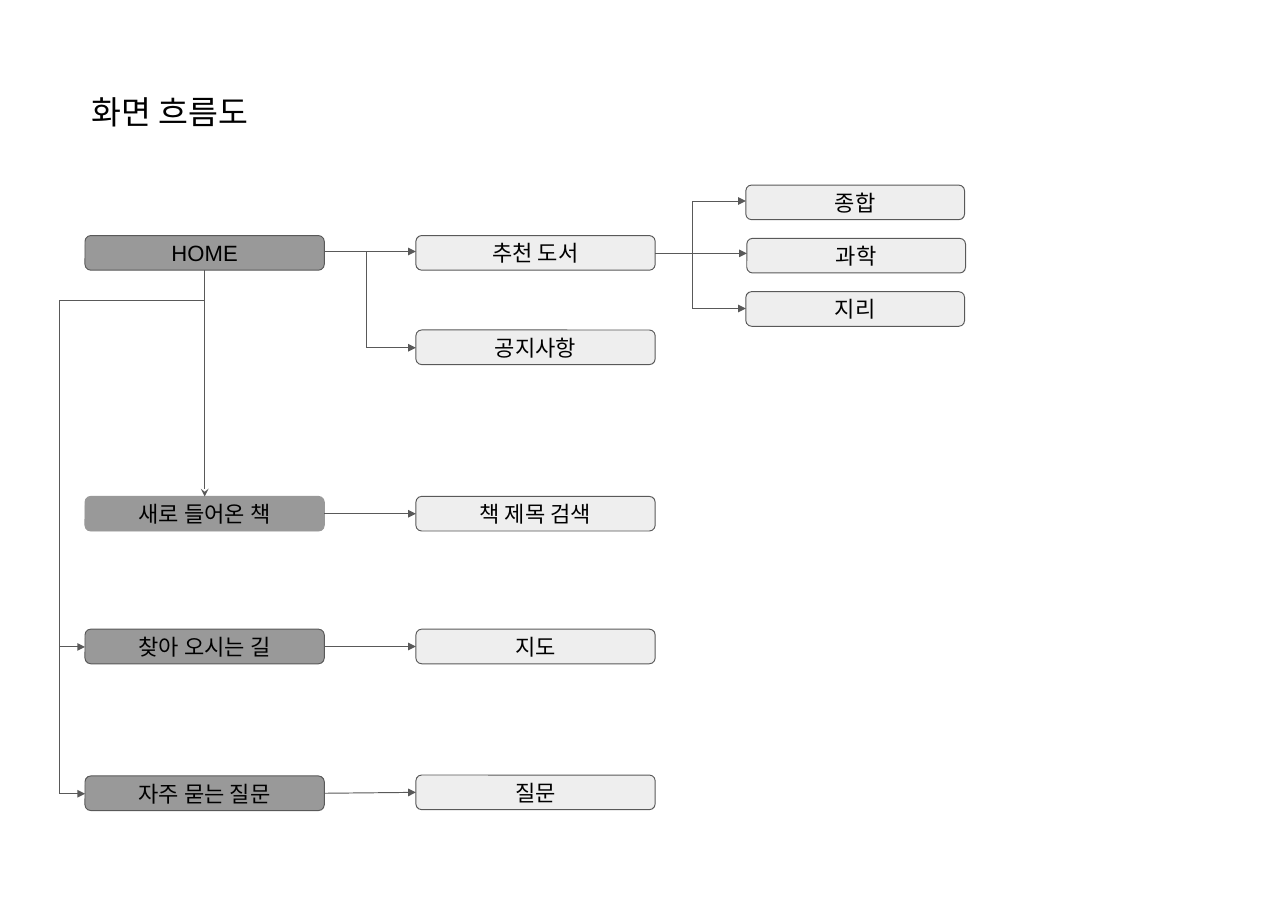
from dataclasses import dataclass

from lxml import etree
from pptx import Presentation
from pptx.dml.color import RGBColor
from pptx.enum.shapes import MSO_CONNECTOR, MSO_SHAPE
from pptx.enum.text import MSO_ANCHOR, MSO_AUTO_SIZE, PP_ALIGN
from pptx.oxml.ns import qn
from pptx.util import Inches, Pt

STRAIGHT = MSO_CONNECTOR.STRAIGHT
ROUNDED = MSO_SHAPE.ROUNDED_RECTANGLE
TOP, MIDDLE = MSO_ANCHOR.TOP, MSO_ANCHOR.MIDDLE
LEFT, CENTER = PP_ALIGN.LEFT, PP_ALIGN.CENTER
NO_AUTOFIT = MSO_AUTO_SIZE.NONE
TITLE_ONLY = 5

# Connection sites of a rounded rectangle
SITE_TOP, SITE_LEFT, SITE_BOTTOM, SITE_RIGHT = range(4)


@dataclass(frozen=True)
class Theme:
    font: str = "Arial"
    title_size: float = 25
    box_size: float = 17
    line_width: float = 0.75
    inset: float = 0.33
    text: str = "000000"
    line: str = "595959"
    menu_fill: str = "999999"
    page_fill: str = "EEEEEE"


THEME = Theme()

# Columns and box sizes of the flow
MENU_X, PAGE_X, TOPIC_X = 0.91, 4.45, 7.98
BOX_WIDTH, TOPIC_WIDTH, BOX_HEIGHT = 2.56, 2.34, 0.37


def write_text(shape, text, size, align=CENTER, anchor=MIDDLE):
    frame = shape.text_frame
    frame.word_wrap = True
    frame.auto_size = NO_AUTOFIT
    frame.vertical_anchor = anchor
    inset = Inches(THEME.inset)
    frame.margin_left = frame.margin_right = inset
    frame.margin_top = frame.margin_bottom = inset
    paragraph = frame.paragraphs[0]
    paragraph.alignment = align
    run = paragraph.add_run()
    run.text = text
    run.font.name = THEME.font
    run.font.size = Pt(size)
    run.font.color.rgb = RGBColor.from_string(THEME.text)


def add_title(slide, text):
    title = slide.shapes.title
    title.left, title.top = Inches(0.65), Inches(0.8)
    title.width, title.height = Inches(2.72), Inches(0.37)
    write_text(title, text, THEME.title_size, align=LEFT, anchor=TOP)


def add_box(slide, text, x, y, width=BOX_WIDTH, fill=THEME.page_fill, line=THEME.line):
    box = slide.shapes.add_shape(
        ROUNDED, Inches(x), Inches(y), Inches(width), Inches(BOX_HEIGHT))
    box.shadow.inherit = False
    box.fill.solid()
    box.fill.fore_color.rgb = RGBColor.from_string(fill)
    box.line.color.rgb = RGBColor.from_string(line)
    box.line.width = Pt(THEME.line_width)
    write_text(box, text, THEME.box_size)
    return box


def add_menu(slide, text, y, line=THEME.line):
    return add_box(slide, text, MENU_X, y, fill=THEME.menu_fill, line=line)


def add_line(slide, start=(0, 0), end=(0, 0), arrow=None):
    points = [Inches(value) for value in (*start, *end)]
    connector = slide.shapes.add_connector(STRAIGHT, *points)
    connector.line.color.rgb = RGBColor.from_string(THEME.line)
    connector.line.width = Pt(THEME.line_width)
    if arrow:
        tail = etree.SubElement(connector.line._get_or_add_ln(), qn("a:tailEnd"))
        tail.set("type", arrow)
    etree.SubElement(connector._element.spPr, qn("a:effectLst"))
    return connector


def link_boxes(slide, source, target, sites=(SITE_RIGHT, SITE_LEFT), arrow="triangle"):
    connector = add_line(slide, arrow=arrow)
    connector.begin_connect(source, sites[0])
    connector.end_connect(target, sites[1])


def main():
    presentation = Presentation()
    presentation.slide_width = Inches(13.78)
    presentation.slide_height = Inches(9.84)
    slide = presentation.slides.add_slide(presentation.slide_layouts[TITLE_ONLY])
    add_title(slide, "화면 흐름도")

    # Home and its pages
    home = add_menu(slide, "HOME", 2.52)
    add_box(slide, "추천 도서", PAGE_X, 2.52)
    add_box(slide, "공지사항", PAGE_X, 3.53)
    home_branch_x = 3.92
    add_line(slide, (MENU_X + BOX_WIDTH, 2.69), (PAGE_X, 2.69), "triangle")
    add_line(slide, (home_branch_x, 2.69), (home_branch_x, 3.72))
    add_line(slide, (home_branch_x, 3.72), (PAGE_X, 3.72), "triangle")

    # Topics of the recommended books
    topic_branch_x = 7.41
    topics = [
        ("종합", TOPIC_X, 1.98, topic_branch_x, 2.15),
        ("과학", TOPIC_X + 0.01, 2.55, PAGE_X + BOX_WIDTH, 2.71),
        ("지리", TOPIC_X, 3.12, topic_branch_x, 3.3),
    ]
    for topic, x, y, arrow_x, arrow_y in topics:
        add_box(slide, topic, x, y, TOPIC_WIDTH)
        add_line(slide, (arrow_x, arrow_y), (x, arrow_y), "triangle")
    add_line(slide, (topic_branch_x, 2.15), (topic_branch_x, 3.3))

    # Other menus, each leading to one page
    new_books = add_menu(slide, "새로 들어온 책", 5.31, line=THEME.menu_fill)
    directions = add_menu(slide, "찾아 오시는 길", 6.73)
    questions = add_menu(slide, "자주 묻는 질문", 8.3)
    for menu, page, y in [
        (new_books, "책 제목 검색", 5.31),
        (directions, "지도", 6.73),
        (questions, "질문", 8.29),
    ]:
        link_boxes(slide, menu, add_box(slide, page, PAGE_X, y))
    link_boxes(slide, home, new_books, (SITE_BOTTOM, SITE_TOP), "stealth")

    # Side route from home to the lower menus
    side_x, side_top, side_stops = 0.64, 3.21, (6.92, 8.49)
    add_line(slide, (MENU_X + BOX_WIDTH / 2, side_top), (side_x, side_top))
    add_line(slide, (side_x, side_top), (side_x, side_stops[-1]))
    for stop in side_stops:
        add_line(slide, (side_x, stop), (MENU_X, stop), "triangle")

    presentation.save("out.pptx")


if __name__ == "__main__":
    main()
